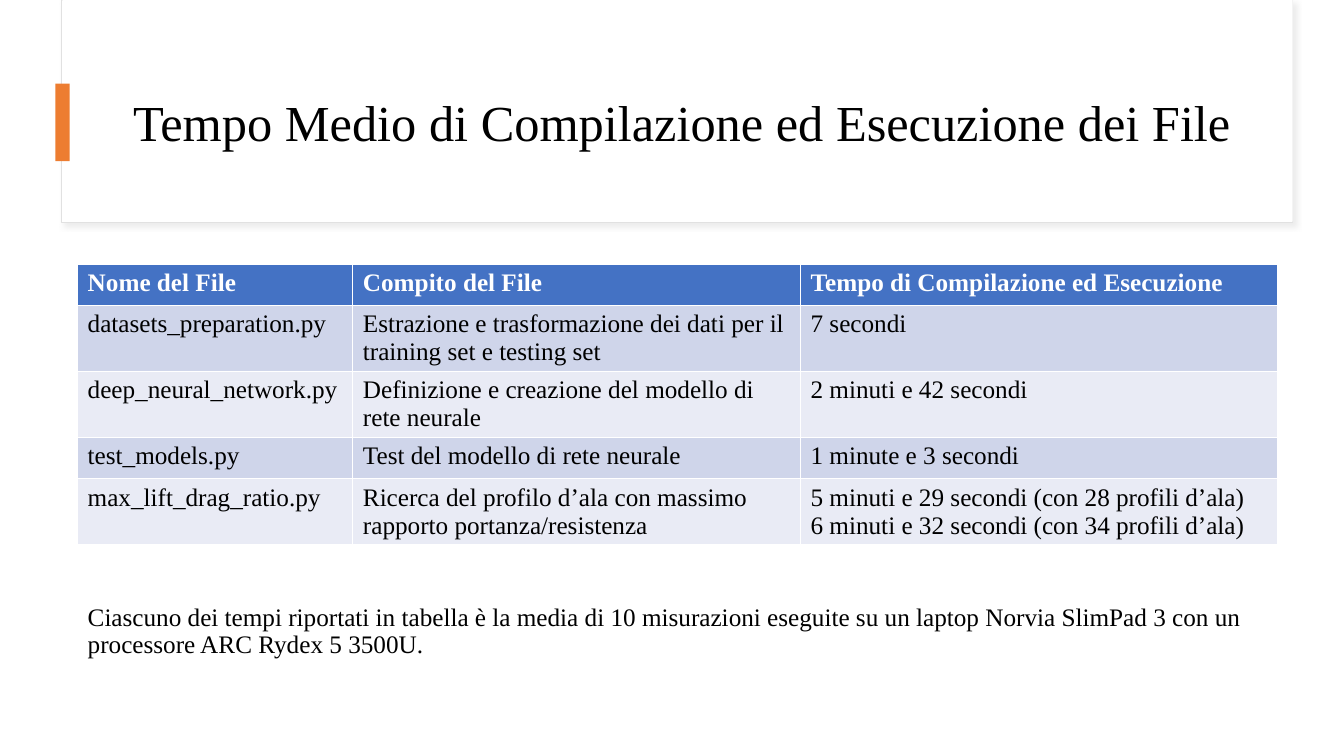
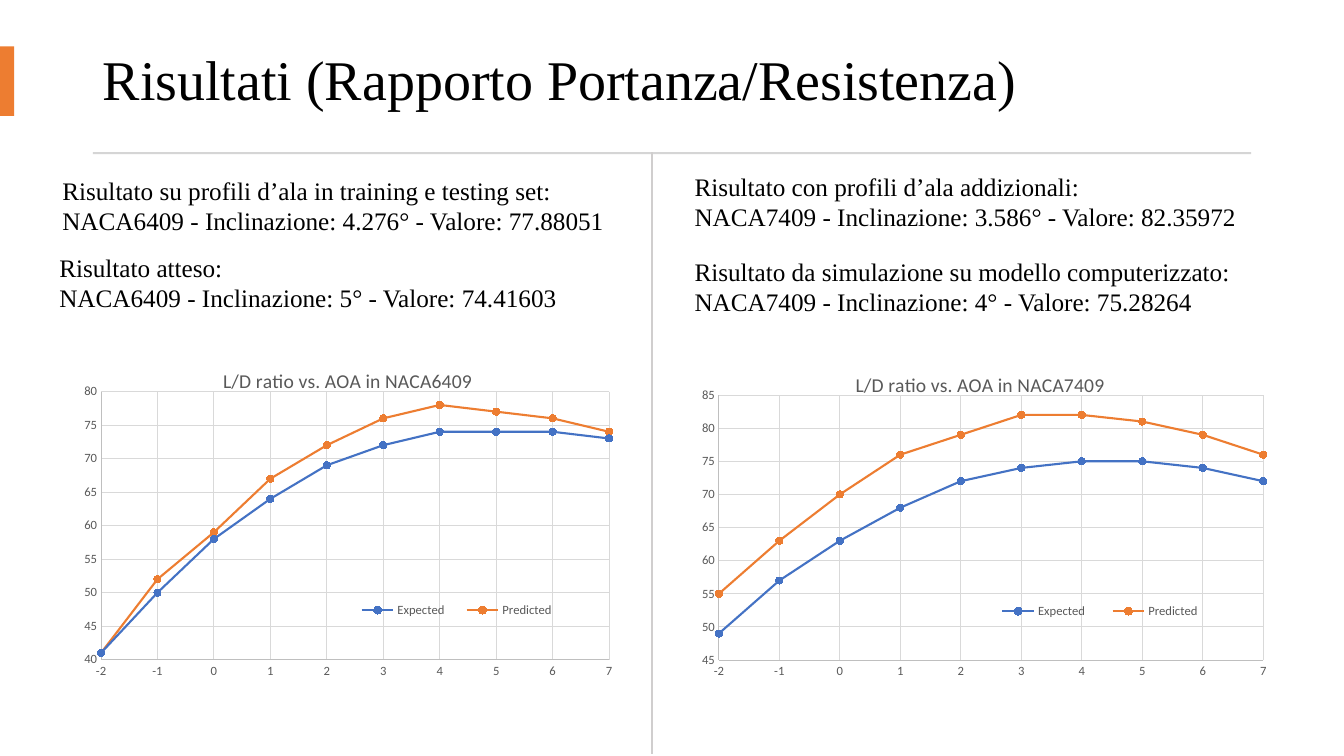
from pptx import Presentation
from pptx.chart.data import XyChartData
from pptx.dml.color import RGBColor
from pptx.enum.chart import XL_AXIS_CROSSES as Cross, XL_CHART_TYPE as Kind
from pptx.enum.chart import XL_LEGEND_POSITION as Side, XL_MARKER_STYLE as Mark
from pptx.enum.chart import XL_TICK_MARK as Tick
from pptx.enum.shapes import MSO_CONNECTOR as Link, MSO_SHAPE as Form
from pptx.enum.text import MSO_ANCHOR as Anchor, MSO_AUTO_SIZE as Fit, PP_ALIGN as Align
from pptx.oxml import parse_xml
from pptx.oxml.ns import nsdecls, qn
from pptx.util import Inches, Pt

BLACK = RGBColor(0x00, 0x00, 0x00)
WHITE = RGBColor(0xFF, 0xFF, 0xFF)
BLUE = RGBColor(0x44, 0x72, 0xC4)
ORANGE = RGBColor(0xED, 0x7D, 0x31)
DARK = RGBColor(0xCF, 0xD5, 0xEA)
LIGHT = RGBColor(0xE9, 0xEB, 0xF5)
EDGE = RGBColor(0xE1, 0xE1, 0xE1)
RULE = RGBColor(0xD5, 0xD5, 0xD5)
SPLIT = RGBColor(0xD0, 0xCE, 0xCE)
GRID = RGBColor(0xD9, 0xD9, 0xD9)
AXIS = RGBColor(0xBF, 0xBF, 0xBF)
GRAY = RGBColor(0x59, 0x59, 0x59)
SERIF = "Times New Roman"
SANS = "Calibri"


def say(frame, lines, size=18, color=BLACK, bold=False, space=1.0):
    frame.word_wrap = True
    for i, line in enumerate(lines):
        para = frame.add_paragraph() if i else frame.paragraphs[0]
        para.alignment = Align.LEFT
        para.line_spacing = space
        run = para.add_run()
        run.text = line
        run.font.name = SERIF
        run.font.size = Pt(size)
        run.font.bold = bold
        run.font.color.rgb = color


def place(item, index, tags):
    for old in item.findall(qn("c:layout")):
        item.remove(old)
    parts = "".join(f'<c:{tag} val="{val}"/>' for tag, val in tags)
    item.insert(index, parse_xml(
        f'<c:layout {nsdecls("c")}><c:manualLayout>{parts}</c:manualLayout></c:layout>'))


deck = Presentation()
deck.slide_width = Inches(13.33)
deck.slide_height = Inches(7.5)

times = deck.slides.add_slide(deck.slide_layouts[1])
ratios = deck.slides.add_slide(deck.slide_layouts[5])

heads = [
    (times, "Tempo Medio di Compilazione ed Esecuzione dei File", 36,
     (1.22, 0.6, 11.12, 1.29), (0.55, 0.83, 0.14, 0.77)),
    (ratios, "Risultati (Rapporto Portanza/Resistenza)", 40,
     (0.92, 0.27, 11.49, 1.1), (0, 0.46, 0.14, 0.69)),
]
for slide, text, size, box, tab in heads:
    title = slide.shapes.title
    title.left, title.top, title.width, title.height = map(Inches, box)
    title.text_frame.auto_size = Fit.NONE
    title.text_frame.vertical_anchor = Anchor.MIDDLE
    say(title.text_frame, [text], size, space=0.9)

plates = [
    (times, (0.61, 0, 12.21, 2.21), WHITE, 2),
    (times, (0.62, 0, 12.2, 2.2), WHITE, 3),
    (ratios, (0.92, 1.51, 11.49, 0.02), RULE, None),
] + [(head[0], head[4], ORANGE, None) for head in heads]
for slide, box, color, depth in plates:
    plate = slide.shapes.add_shape(Form.RECTANGLE, *map(Inches, box))
    plate.shadow.inherit = False
    plate.fill.solid()
    plate.fill.fore_color.rgb = color
    plate.line.fill.background()
    if depth:
        slide.shapes.element.insert(depth, plate.element)
    if depth == 2:
        plate.line.color.rgb = EDGE
        plate.line.width = Pt(0.75)
        glow = plate.element.spPr.find(qn("a:effectLst"))
        glow.append(parse_xml(
            f'<a:outerShdw {nsdecls("a")} blurRad="{Pt(4)}" dist="{Pt(3)}" dir="2700000">'
            f'<a:srgbClr val="{GRID}"><a:alpha val="50000"/></a:srgbClr></a:outerShdw>'))

note = times.placeholders[1]
note.left, note.top, note.width, note.height = map(Inches, (0.77, 5.95, 11.75, 0.71))
note.text_frame.auto_size = Fit.NONE
say(note.text_frame, [
    "Ciascuno dei tempi riportati in tabella è la media di 10 misurazioni eseguite "
    "su un laptop Norvia SlimPad 3 con un processore ARC Rydex 5 3500U."], space=0.9)
props = note.text_frame.paragraphs[0]._p.get_or_add_pPr()
props.set("marL", "0")
props.set("indent", "0")
props.append(parse_xml(f'<a:buNone {nsdecls("a")}/>'))
note.text_frame.paragraphs[0].space_before = Pt(10)

rows = [
    ("Nome del File", "Compito del File", "Tempo di Compilazione ed Esecuzione"),
    ("datasets_preparation.py",
     "Estrazione e trasformazione dei dati per il training set e testing set",
     "7 secondi"),
    ("deep_neural_network.py",
     "Definizione e creazione del modello di rete neurale",
     "2 minuti e 42 secondi"),
    ("test_models.py", "Test del modello di rete neurale", "1 minute e 3 secondi"),
    ("max_lift_drag_ratio.py",
     "Ricerca del profilo d’ala con massimo rapporto portanza/resistenza",
     "5 minuti e 29 secondi (con 28 profili d’ala)\n"
     "6 minuti e 32 secondi (con 34 profili d’ala)"),
]
table = times.shapes.add_table(
    5, 3, Inches(0.77), Inches(2.62), Inches(11.9), Inches(2.05)).table
for col, width in zip(table.columns, (2.73, 4.44, 4.73)):
    col.width = Inches(width)
for r, row in enumerate(rows):
    table.rows[r].height = Inches(0.41)
    for c, text in enumerate(row):
        cell = table.cell(r, c)
        cell.fill.solid()
        cell.fill.fore_color.rgb = BLUE if r == 0 else DARK if r % 2 else LIGHT
        say(cell.text_frame, text.split("\n"), color=BLACK if r else WHITE, bold=r == 0)

plots = [
    ("NACA6409", (0.61, 3.43, 5.6, 3.5), 40, 80, 0.28,
     [41, 50, 58, 64, 69, 72, 74, 74, 74, 73],
     [41, 52, 59, 67, 72, 76, 78, 77, 76, 74]),
    ("NACA7409", (6.71, 3.47, 6, 3.46), 45, 85, 0.29,
     [49, 57, 63, 68, 72, 74, 75, 75, 74, 72],
     [55, 63, 70, 76, 79, 82, 82, 81, 79, 76]),
]
for wing, box, low, high, left, real, guess in plots:
    data = XyChartData()
    for name, vals in (("Expected", real), ("Predicted", guess)):
        line = data.add_series(name)
        for x, y in enumerate(vals, -2):
            line.add_data_point(x, y)
    chart = ratios.shapes.add_chart(
        Kind.XY_SCATTER_SMOOTH, *map(Inches, box), data).chart
    chart.font.name = SANS
    chart.font.size = Pt(10)
    chart.font.color.rgb = BLACK

    chart.has_title = True
    run = chart.chart_title.text_frame.paragraphs[0].add_run()
    run.text = f"L/D ratio vs. AOA in {wing}"
    run.font.name = SANS
    run.font.size = Pt(14)
    run.font.bold = False
    run.font.color.rgb = GRAY

    chart.has_legend = True
    chart.legend.position = Side.BOTTOM
    chart.legend.include_in_layout = False
    fonts = [chart.legend.font]
    scales = [(chart.category_axis, -2, 7, 1), (chart.value_axis, low, high, 5)]
    for axis, least, most, step in scales:
        axis.minimum_scale = least
        axis.maximum_scale = most
        axis.major_unit = step
        axis.crosses = Cross.MINIMUM
        axis.major_tick_mark = axis.minor_tick_mark = Tick.NONE
        axis.has_major_gridlines = True
        for edge, color in ((axis.major_gridlines.format.line, GRID), (axis.format.line, AXIS)):
            edge.color.rgb = color
            edge.width = Pt(0.75)
        axis.tick_labels.number_format = "0"
        axis.tick_labels.number_format_is_linked = False
        fonts.append(axis.tick_labels.font)
    for font in fonts:
        font.name = SANS
        font.size = Pt(9)
        font.color.rgb = GRAY

    plot = chart.plots[0]
    plot.vary_by_categories = False
    for line, color in zip(plot.series, (BLUE, ORANGE)):
        line.smooth = True
        line.format.line.color.rgb = color
        line.format.line.width = Pt(1.5)
        line.marker.style = Mark.CIRCLE
        line.marker.size = 5
        line.marker.format.fill.solid()
        line.marker.format.fill.fore_color.rgb = color
        line.marker.format.line.color.rgb = color

    edges = [("xMode", "edge"), ("yMode", "edge")]
    root = chart.element.find(qn("c:chart"))
    place(root.find(qn("c:title")), 1, edges + [("x", left), ("y", 0.05)])
    place(root.find(qn("c:plotArea")), 0, [("layoutTarget", "inner")] + edges + [
        ("x", 0.07), ("y", 0.13), ("w", 0.9), ("h", 0.76)])
    place(root.find(qn("c:legend")), 1, edges + [
        ("x", 0.5), ("y", 0.71), ("w", 0.4), ("h", 0.08)])

split = ratios.shapes.add_connector(
    Link.STRAIGHT, Inches(6.47), Inches(1.51), Inches(6.47), Inches(7.48))
split.line.color.rgb = SPLIT
split.line.width = Pt(1.5)
split.element.spPr.append(parse_xml(f'<a:effectLst {nsdecls("a")}/>'))

facts = [
    (0.52, 1.69, 5.9, "Risultato su profili d’ala in training e testing set:",
     "NACA6409 - Inclinazione: 4.276° - Valore: 77.88051"),
    (6.79, 1.65, 6.07, "Risultato con profili d’ala addizionali:",
     "NACA7409 - Inclinazione: 3.586° - Valore: 82.35972"),
    (0.49, 2.45, 5.23, "Risultato atteso:",
     "NACA6409 - Inclinazione: 5° - Valore: 74.41603"),
    (6.79, 2.49, 6.07, "Risultato da simulazione su modello computerizzato:",
     "NACA7409 - Inclinazione: 4° - Valore: 75.28264"),
]
for left, top, width, *lines in facts:
    fact = ratios.shapes.add_textbox(*map(Inches, (left, top, width, 0.71)))
    say(fact.text_frame, lines)

deck.save("out.pptx")
